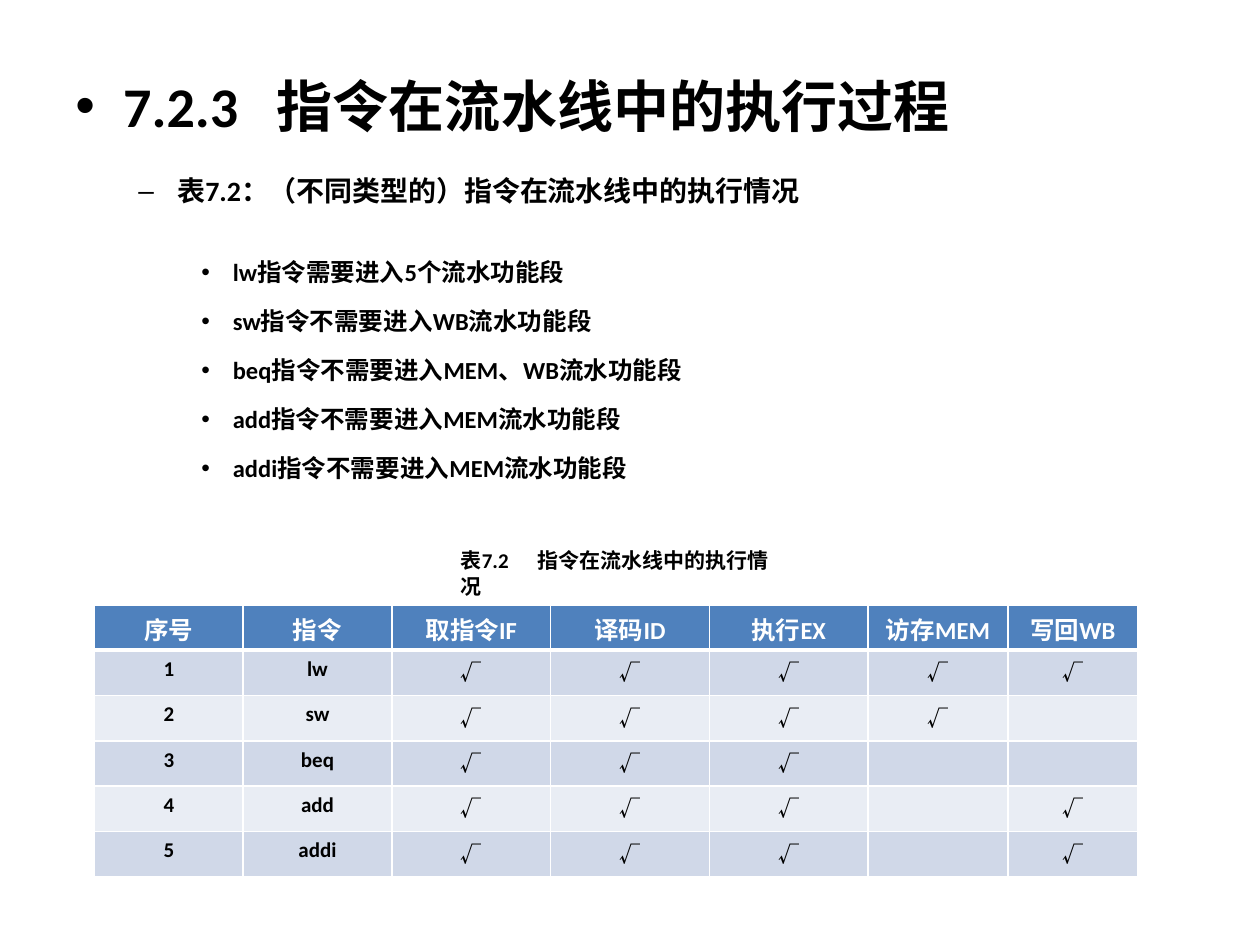
"""Builds the slide on how instructions pass through the pipeline."""
from dataclasses import dataclass

from lxml.etree import SubElement
from pptx import Presentation
from pptx.dml.color import RGBColor
from pptx.enum.text import PP_ALIGN as Align
from pptx.oxml.ns import qn
from pptx.slide import Slide
from pptx.table import _Cell as Cell
from pptx.text.text import TextFrame, _Paragraph as Paragraph
from pptx.util import Inches, Pt

LATIN, CJK = "Calibri", "Noto Sans CJK SC"
BLACK, WHITE, HEADER = "000000", "FFFFFF", "4F81BD"
BANDS = ("D0D8E8", "E9EDF4")
TICK = "√"


@dataclass(frozen=True)
class Outline:
    """Describes the look of one outline level."""
    level: int
    size: float
    bullet: str
    margin: float
    hanging: float
    line: float = 1.0


@dataclass(frozen=True)
class Instruction:
    """Describes an instruction and the pipeline stages it enters."""
    name: str
    stages: tuple[str, ...]


TITLE = Outline(0, 32, "•", 0.38, 0.38)
SUBTITLE = Outline(1, 16, "–", 0.81, 0.31)
POINT = Outline(2, 14, "•", 1.25, 0.25, 1.5)

POINTS = (
    "lw指令需要进入5个流水功能段",
    "sw指令不需要进入WB流水功能段",
    "beq指令不需要进入MEM、WB流水功能段",
    "add指令不需要进入MEM流水功能段",
    "addi指令不需要进入MEM流水功能段",
)
STAGES = {"IF": "取指令IF", "ID": "译码ID", "EX": "执行EX", "MEM": "访存MEM", "WB": "写回WB"}
INSTRUCTIONS = (
    Instruction("lw", ("IF", "ID", "EX", "MEM", "WB")),
    Instruction("sw", ("IF", "ID", "EX", "MEM")),
    Instruction("beq", ("IF", "ID", "EX")),
    Instruction("add", ("IF", "ID", "EX", "WB")),
    Instruction("addi", ("IF", "ID", "EX", "WB")),
)
COLUMNS = (1.18, 1.18, 1.26, 1.26, 1.26, 1.11, 1.03)
ROW_HEIGHT = 0.36


def rgb(value: str) -> RGBColor:
    """Turns a hex string into a colour."""
    return RGBColor.from_string(value)


def write(p: Paragraph, text: str, *, size: float, color: str = BLACK,
          latin: str = LATIN, east: str = LATIN) -> None:
    """Adds bold text to a paragraph."""
    r = p.add_run()
    r.text = text
    r.font.size, r.font.bold, r.font.name = Pt(size), True, latin
    r.font.color.rgb = rgb(color)
    SubElement(r._r.get_or_add_rPr(), qn("a:ea"), typeface=east)


def add_bullet(p: Paragraph, char: str) -> None:
    """Gives a paragraph a bullet character."""
    props = p._p.get_or_add_pPr()
    SubElement(props, qn("a:buFont"), typeface="Arial")
    SubElement(props, qn("a:buChar"), char=char)


def add_tab(p: Paragraph, position: float) -> None:
    """Gives a paragraph one left tab stop."""
    tabs = SubElement(p._p.get_or_add_pPr(), qn("a:tabLst"))
    SubElement(tabs, qn("a:tab"), pos=str(Inches(position)), algn="l")


def add_box(s: Slide, left: float, top: float, width: float, height: float) -> TextFrame:
    """Adds a wrapping text box and returns its text frame."""
    sp = s.shapes.add_textbox(Inches(left), Inches(top), Inches(width), Inches(height))
    sp.text_frame.word_wrap = True
    return sp.text_frame


def add_entry(p: Paragraph, text: str, style: Outline, before: float = 0, tab: float = 0) -> None:
    """Fills a paragraph as an outline entry."""
    p.level = style.level
    props = p._p.get_or_add_pPr()
    props.set("marL", str(Inches(style.margin)))
    props.set("indent", str(-Inches(style.hanging)))
    p.line_spacing, p.space_before = style.line, Pt(before)
    add_bullet(p, style.bullet)
    if tab:
        add_tab(p, tab)
    write(p, text, size=style.size)


def add_outline(s: Slide) -> None:
    """Adds the heading, the subheading and the points."""
    tf = add_box(s, 0.5, 0.52, 9, 4.95)
    add_entry(tf.paragraphs[0], "7.2.3\t指令在流水线中的执行过程", TITLE, tab=1.6)
    add_entry(tf.add_paragraph(), "表7.2：（不同类型的）指令在流水线中的执行情况", SUBTITLE, before=20)
    for i, text in enumerate(POINTS):
        add_entry(tf.add_paragraph(), text, POINT, before=2.8 if i else 20)


def set_borders(cell: Cell, bottom: float, top: float) -> None:
    """Draws white borders around a cell."""
    props = cell._tc.get_or_add_tcPr()
    for side, width in (("L", 1), ("R", 1), ("T", top), ("B", bottom)):
        ln = SubElement(props, qn(f"a:ln{side}"), w=str(Pt(width)))
        SubElement(SubElement(ln, qn("a:solidFill")), qn("a:srgbClr"), val=WHITE)


def fill_cell(cell: Cell, text: str, row: int) -> None:
    """Formats one cell of the table and writes its text."""
    set_borders(cell, bottom=1 if row else 3, top=3 if row == 1 else 1)
    cell.fill.solid()
    cell.fill.fore_color.rgb = rgb(BANDS[(row - 1) % 2] if row else HEADER)
    if not text:
        cell.margin_top = cell.margin_bottom = 0
        return
    p = cell.text_frame.paragraphs[0]
    p.alignment = Align.CENTER
    if row:
        font = CJK if text == TICK else LATIN
        write(p, text, size=12, latin=font, east=font)
    else:
        write(p, text, size=14, color=WHITE, east=CJK)


def add_stage_table(s: Slide) -> None:
    """Adds the table of instructions against pipeline stages."""
    rows = [["序号", "指令", *STAGES.values()]]
    for number, item in enumerate(INSTRUCTIONS, 1):
        ticks = [TICK if stage in item.stages else "" for stage in STAGES]
        rows.append([str(number), item.name, *ticks])
    table = s.shapes.add_table(
        len(rows), len(COLUMNS), Inches(0.75), Inches(4.8),
        Inches(sum(COLUMNS)), Inches(ROW_HEIGHT * len(rows))).table
    for column, width in zip(table.columns, COLUMNS):
        column.width = Inches(width)
    for i, texts in enumerate(rows):
        table.rows[i].height = Inches(ROW_HEIGHT)
        for j, text in enumerate(texts):
            fill_cell(table.cell(i, j), text, i)


def add_caption(s: Slide) -> None:
    """Adds the caption above the table."""
    p = add_box(s, 3.56, 4.3, 2.76, 0.3).paragraphs[0]
    add_tab(p, 0.61)
    write(p, "表7.2\t指令在流水线中的执行情况", size=12)


def main() -> None:
    """Builds and saves the slide."""
    prs = Presentation()
    prs.slide_width, prs.slide_height = Inches(10), Inches(7.5)
    s = prs.slides.add_slide(prs.slide_layouts[6])
    add_outline(s)
    add_stage_table(s)
    add_caption(s)
    prs.save("out.pptx")


if __name__ == "__main__":
    main()
